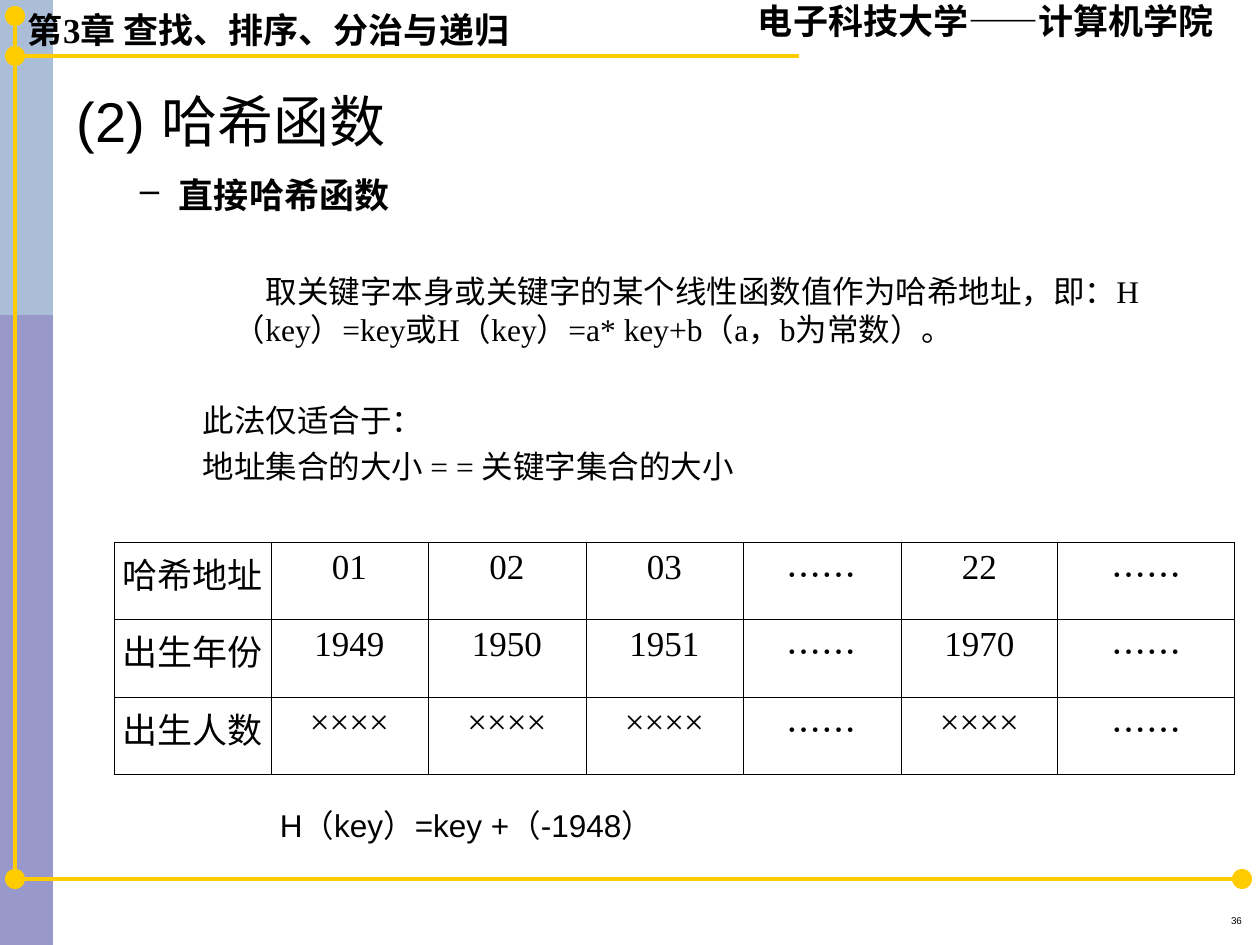
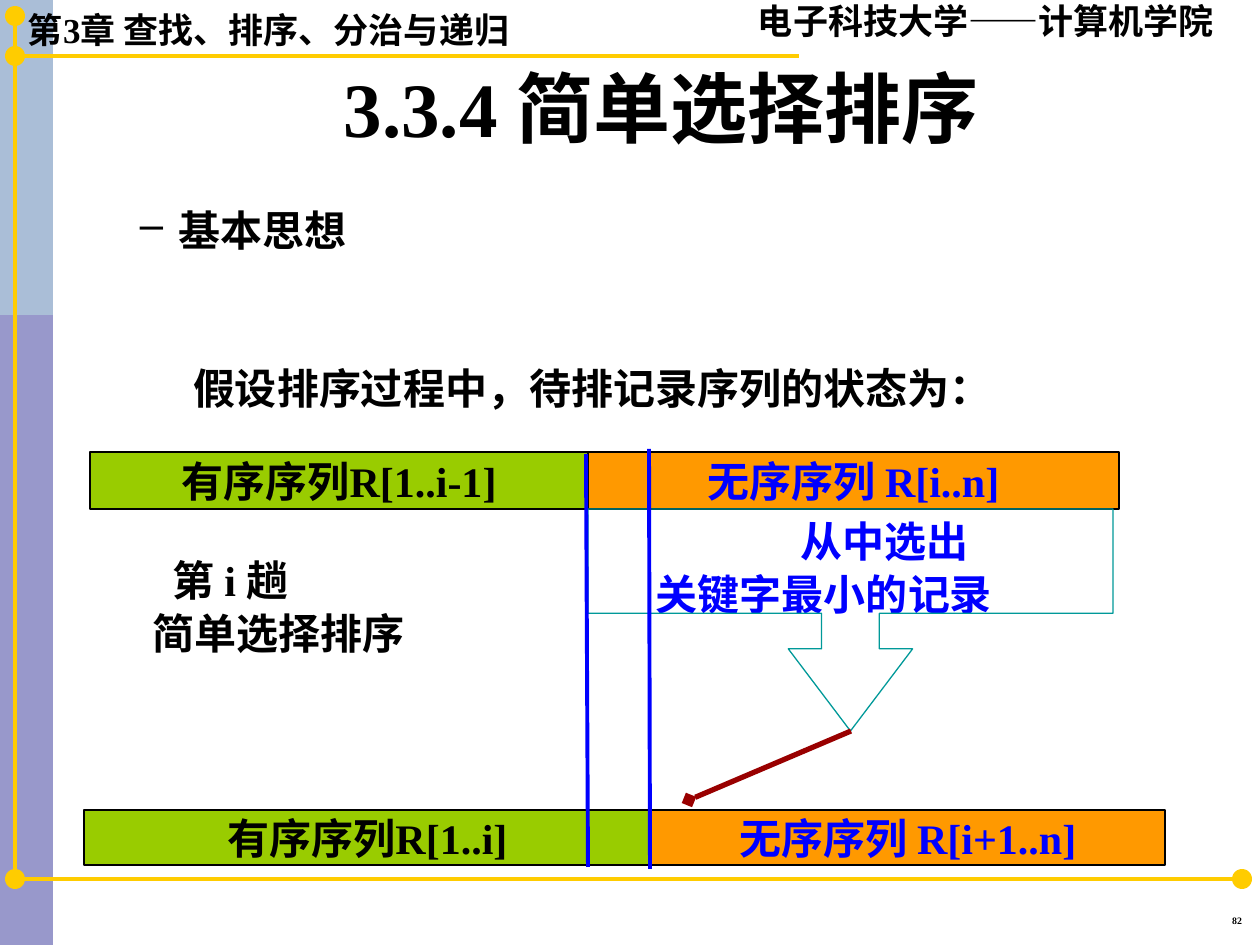
from dataclasses import dataclass

from lxml.etree import SubElement
from pptx import Presentation
from pptx.dml.color import RGBColor
from pptx.enum.shapes import MSO_CONNECTOR as Connector, MSO_SHAPE as Shape
from pptx.enum.text import MSO_ANCHOR as Anchor, MSO_AUTO_SIZE as AutoSize, PP_ALIGN as Align
from pptx.oxml.ns import qn
from pptx.util import Pt

EMU_PER_PX = 914400 / 126

BLACK = RGBColor(0x00, 0x00, 0x00)
BLUE = RGBColor(0x00, 0x00, 0xFF)
GOLD = RGBColor(0xFF, 0xCC, 0x00)
INDIGO = RGBColor(0x33, 0x33, 0x99)
PALE_TEAL = RGBColor(0xBB, 0xE0, 0xE3)
TEAL = RGBColor(0x00, 0x99, 0x99)
GREEN = RGBColor(0x99, 0xCC, 0x00)
ORANGE = RGBColor(0xFF, 0x99, 0x00)
DARK_RED = RGBColor(0x99, 0x00, 0x00)

SERIF = "Times New Roman"
SANS = "Arial"
CJK = "Noto Sans CJK SC"
TIGHT = 1.18

HASH_ROWS = [
    ["哈希地址", "01", "02", "03", "……", "22", "……"],
    ["出生年份", "1949", "1950", "1951", "……", "1970", "……"],
    ["出生人数", "××××", "××××", "××××", "……", "××××", "……"],
]


@dataclass
class Para:
    text: str
    size: float = 24
    bold: bool = True
    font: str = SERIF
    color: RGBColor = BLACK
    align: Align = Align.LEFT
    before: float = 0
    left: int = 0
    first: int = 0
    bullet: str = ""
    tight: bool = True


def px(length):
    return round(length * EMU_PER_PX)


def box(*lengths):
    return [px(length) for length in lengths]


def write_paragraph(paragraph, para):
    paragraph.text = para.text
    properties = paragraph._p.get_or_add_pPr()
    properties.set("marL", str(px(para.left)))
    properties.set("indent", str(px(para.first)))
    if para.bullet:
        SubElement(properties, qn("a:buChar"), char=para.bullet)
    paragraph.alignment = para.align
    paragraph.space_before = Pt(para.before)
    if para.tight:
        paragraph.line_spacing = Pt(para.size * TIGHT)
    for run in paragraph.runs:
        run.font.size = Pt(para.size)
        run.font.bold = para.bold
        run.font.name = para.font
        run.font.color.rgb = para.color
        SubElement(run._r.get_or_add_rPr(), qn("a:ea"), typeface=CJK)


def write(frame, paras, anchor=Anchor.TOP, wrap=True):
    frame.auto_size = AutoSize.NONE
    frame.word_wrap = wrap
    frame.vertical_anchor = anchor
    frame.margin_left = frame.margin_right = px(13)
    frame.margin_top = frame.margin_bottom = px(6)
    for index, para in enumerate(paras):
        paragraph = frame.add_paragraph() if index else frame.paragraphs[0]
        write_paragraph(paragraph, para)


def add_text(slide, place, paras, anchor=Anchor.TOP, wrap=True):
    write(slide.shapes.add_textbox(*box(*place)).text_frame, paras, anchor, wrap)


def place_title(slide, place, para, anchor):
    title = slide.shapes.title
    title.left, title.top, title.width, title.height = box(*place)
    write(title.text_frame, [para], anchor)


def add_figure(slide, kind, place, fill=None, line=None, opacity=None):
    figure = slide.shapes.add_shape(kind, *box(*place))
    figure.shadow.inherit = False
    if fill is None:
        figure.fill.background()
    else:
        figure.fill.solid()
        figure.fill.fore_color.rgb = fill
    if opacity:
        tint = figure._element.spPr.find(".//" + qn("a:srgbClr"))
        SubElement(tint, qn("a:alpha"), val=str(opacity * 1000))
    if line is None:
        figure.line.fill.background()
    else:
        figure.line.color.rgb = line
        figure.line.width = Pt(0.75)
    return figure


def add_line(slide, ends, color, width, tail=None):
    line = slide.shapes.add_connector(Connector.STRAIGHT, *box(*ends))
    line.line.color.rgb = color
    line.line.width = Pt(width)
    if tail:
        SubElement(line.line._get_or_add_ln(), qn("a:tailEnd"), type=tail)
    SubElement(line._element.spPr, qn("a:effectLst"))


def add_bar(slide, place, fill, text, color):
    bar = add_figure(slide, Shape.RECTANGLE, place, fill, BLACK)
    label = Para(text, color=color, align=Align.CENTER, tight=False)
    write(bar.text_frame, [label], Anchor.MIDDLE, wrap=False)


def subheading(text, size):
    return Para(text, size, left=102, first=-39, bullet="–")


def add_frame(slide, number, number_font, number_bold):
    add_figure(slide, Shape.RECTANGLE, (0, 0, 53, 945), INDIGO, opacity=50)
    add_figure(slide, Shape.RECTANGLE, (0, 0, 53, 315), PALE_TEAL, opacity=53)
    for ends in ((25, 879, 1245, 879), (15, 56, 799, 56), (15, 879, 15, 16)):
        add_line(slide, ends, GOLD, 2)
    for x, y in ((5, 869), (1232, 869), (5, 46), (5, 6)):
        add_figure(slide, Shape.OVAL, (x, y, 20, 20), GOLD)
    add_text(slide, (15, 3, 536, 55), [Para("第3章 查找、排序、分治与递归", 20)])
    add_text(slide, (745, -6, 520, 55), [Para("电子科技大学——计算机学院", 20)])
    add_text(slide, (922, 909, 333, 28),
             [Para(number, 5.6, number_bold, number_font, align=Align.RIGHT)])


def set_borders(cell):
    properties = cell._tc.get_or_add_tcPr()
    for side in ("lnL", "lnR", "lnT", "lnB"):
        border = SubElement(properties, qn(f"a:{side}"), w=str(Pt(0.45)))
        fill = SubElement(border, qn("a:solidFill"))
        SubElement(fill, qn("a:srgbClr"), val=str(BLACK))


def add_hash_table(slide):
    widths = [157, 157, 158, 157, 158, 157, 177]
    heights = [77, 78, 77]
    place = box(114, 542, sum(widths), sum(heights))
    table = slide.shapes.add_table(len(heights), len(widths), *place).table
    table.first_row = table.horz_banding = False
    for column, width in zip(table.columns, widths):
        column.width = px(width)
    for row, height, texts in zip(table.rows, heights, HASH_ROWS):
        row.height = px(height)
        for cell, text in zip(row.cells, texts):
            set_borders(cell)
            cell.fill.background()
            cell.margin_left = cell.margin_right = px(3)
            cell.margin_top = cell.margin_bottom = px(6)
            font = CJK if text == "……" else SERIF
            write_paragraph(cell.text_frame.paragraphs[0],
                            Para(text, 20, False, font, align=Align.CENTER, tight=False))


def build_hash_slide(slide):
    add_frame(slide, "36", SANS, False)
    place_title(slide, (64, 82, 1111, 80), Para("(2) 哈希函数", 32, False, SANS), Anchor.TOP)
    add_text(slide, (64, 168, 1111, 350), [
        subheading("直接哈希函数", 20),
        Para("取关键字本身或关键字的某个线性函数值作为哈希地址，即：H（key）=key或"
             "H（key）=a* key+b（a，b为常数）。", 18, False, before=33, left=157, first=32),
        Para("此法仅适合于：", 18, False, before=31, left=126),
        Para("地址集合的大小 = = 关键字集合的大小", 18, False, before=5, left=126),
    ])
    add_hash_table(slide)
    add_text(slide, (267, 800, 457, 50),
             [Para("H（key）=key +（-1948）", 18, False, SANS, tight=False)],
             Anchor.MIDDLE, wrap=False)


def build_selection_sort_slide(slide):
    add_frame(slide, "82", SERIF, True)
    place_title(slide, (63, 38, 1197, 137),
                Para("3.3.4 简单选择排序", 44, align=Align.CENTER, tight=False), Anchor.MIDDLE)
    add_text(slide, (64, 199, 1134, 110), [subheading("基本思想", 24)])
    add_text(slide, (180, 357, 823, 63),
             [Para("假设排序过程中，待排记录序列的状态为：")], wrap=False)
    add_bar(slide, (90, 452, 498, 57), GREEN, "有序序列R[1..i-1]", BLACK)
    add_bar(slide, (588, 452, 531, 57), ORANGE, "无序序列 R[i..n]", BLUE)
    add_text(slide, (140, 549, 427, 118),
             [Para("第 i 趟", first=20), Para("简单选择排序", before=2)])
    add_text(slide, (643, 510, 483, 118),
             [Para("从中选出", color=BLUE, align=Align.CENTER),
              Para("关键字最小的记录", color=BLUE, before=2)])
    callout = add_figure(slide, Shape.DOWN_ARROW_CALLOUT, (588, 509, 525, 222), line=TEAL)
    for index, ratio in enumerate((0.26, 0.28, 0.37, 0.47)):
        callout.adjustments[index] = ratio
    add_bar(slide, (84, 810, 567, 55), GREEN, "有序序列R[1..i]", BLACK)
    add_bar(slide, (651, 810, 514, 55), ORANGE, "无序序列 R[i+1..n]", BLUE)
    add_line(slide, (851, 731, 689, 800), DARK_RED, 3, tail="diamond")
    for ends in ((586, 454, 588, 867), (649, 449, 650, 869)):
        add_line(slide, ends, BLUE, 2.25)


def main():
    deck = Presentation()
    deck.slide_width, deck.slide_height = box(1260, 945)
    title_only = deck.slide_layouts[5]
    for build in (build_hash_slide, build_selection_sort_slide):
        build(deck.slides.add_slide(title_only))
    deck.save("out.pptx")


if __name__ == "__main__":
    main()
